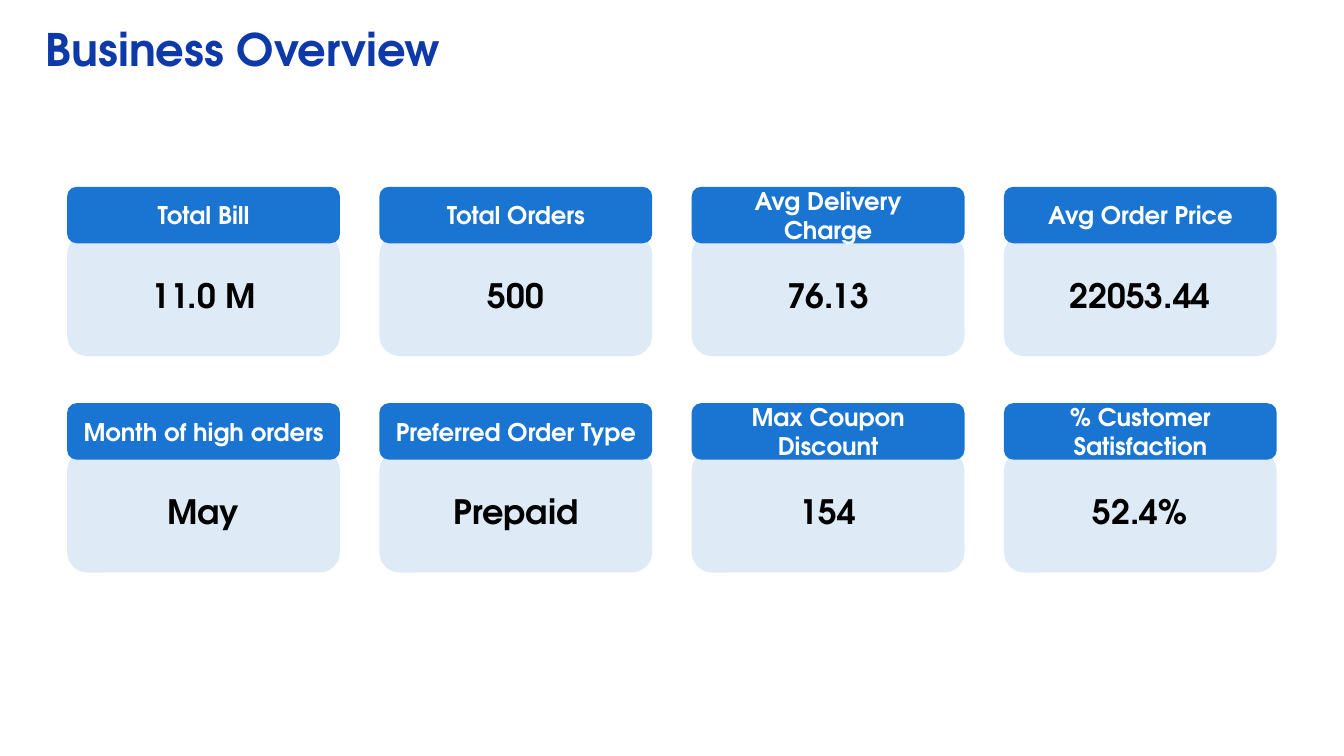
"""Build the Business Overview slide: a title above a four by two grid of metric cards."""
from lxml import etree
from pptx import Presentation
from pptx import util as u
from pptx.dml.color import RGBColor
from pptx.enum import shapes, text
from pptx.oxml.ns import qn

FONT = "TeX Gyre Adventor"
NAVY = RGBColor(0x0E, 0x39, 0xA9)
BLUE = RGBColor(0x19, 0x74, 0xD2)
PALE = RGBColor(0x5B, 0x9B, 0xD5)
WHITE = RGBColor(0xFF, 0xFF, 0xFF)
BLACK = RGBColor(0x00, 0x00, 0x00)

SLIDE_W = 10
SLIDE_H = SLIDE_W * 9 / 16
COLS, MARGIN, CARD_W = 4, 0.5, 2.03
COL_STEP = (SLIDE_W - 2 * MARGIN - CARD_W) / (COLS - 1)
TOP, ROW_STEP = 1.39, 1.61
HEAD_H, BODY_DROP, BODY_H = 0.42, 0.35, 0.91

METRICS = [
    ("Total Bill", "11.0 M"),
    ("Total Orders", "500"),
    ("Avg Delivery Charge", "76.13"),
    ("Avg Order Price", "22053.44"),
    ("Month of high orders", "May"),
    ("Preferred Order Type", "Prepaid"),
    ("Max Coupon Discount", "154"),
    ("% Customer Satisfaction", "52.4%"),
]


def write(sp, words, size, color, align, anchor):
    tf = sp.text_frame
    tf.word_wrap = True
    tf.auto_size = text.MSO_AUTO_SIZE.NONE
    tf.vertical_anchor = anchor
    tf.margin_left = tf.margin_right = tf.margin_top = tf.margin_bottom = u.Inches(0.1)
    p = tf.paragraphs[0]
    p.alignment = align
    r = p.add_run()
    r.text = words
    r.font.name, r.font.size, r.font.bold = FONT, u.Pt(size), True
    r.font.color.rgb = color


def add_box(group, left, top, height, fill, words, size, color):
    sp = group.shapes.add_shape(
        shapes.MSO_SHAPE.ROUNDED_RECTANGLE,
        u.Inches(left), u.Inches(top), u.Inches(CARD_W), u.Inches(height))
    sp.shadow.inherit = False
    sp.fill.solid()
    sp.fill.fore_color.rgb = fill
    sp.line.fill.background()
    write(sp, words, size, color, text.PP_ALIGN.CENTER, text.MSO_ANCHOR.MIDDLE)
    return sp


prs = Presentation()
prs.slide_width, prs.slide_height = u.Inches(SLIDE_W), u.Inches(SLIDE_H)
s = prs.slides.add_slide(prs.slide_layouts[5])

title = s.shapes.title
title.left, title.top = u.Inches(0.24), u.Inches(0.12)
title.width, title.height = u.Inches(7.13), u.Inches(0.54)
write(title, "Business Overview", 24, NAVY, text.PP_ALIGN.LEFT, text.MSO_ANCHOR.BOTTOM)

for i, (label, value) in enumerate(METRICS):
    row, col = divmod(i, COLS)
    left, top = MARGIN + col * COL_STEP, TOP + row * ROW_STEP
    card = s.shapes.add_group_shape()
    body = add_box(card, left, top + BODY_DROP, BODY_H, PALE, value, 18, BLACK)
    tint = body._element.spPr.find(qn("a:solidFill")).find(qn("a:srgbClr"))
    etree.SubElement(tint, qn("a:alpha"), val="20000")
    add_box(card, left, top, HEAD_H, BLUE, label, 13, WHITE)

prs.save("out.pptx")
